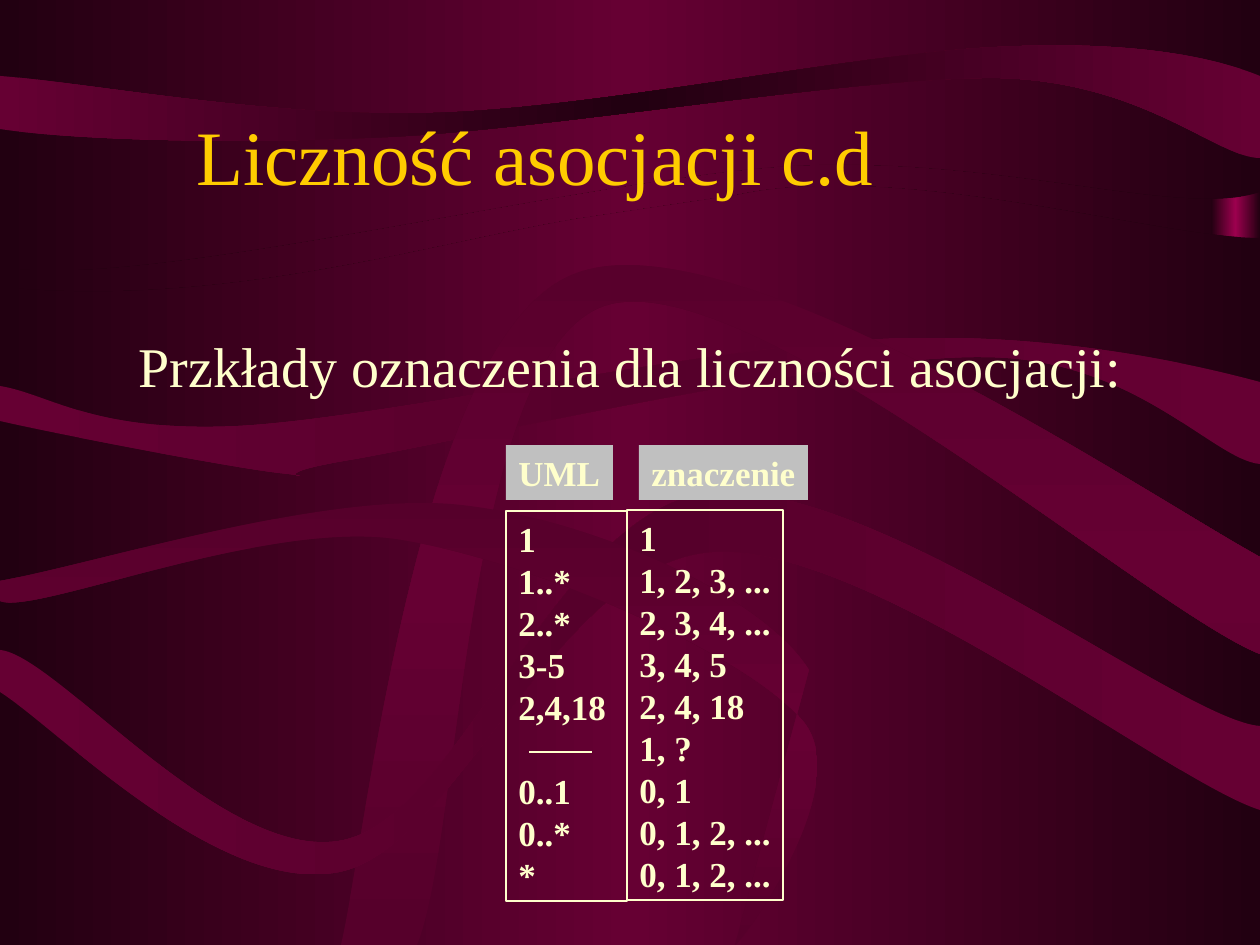
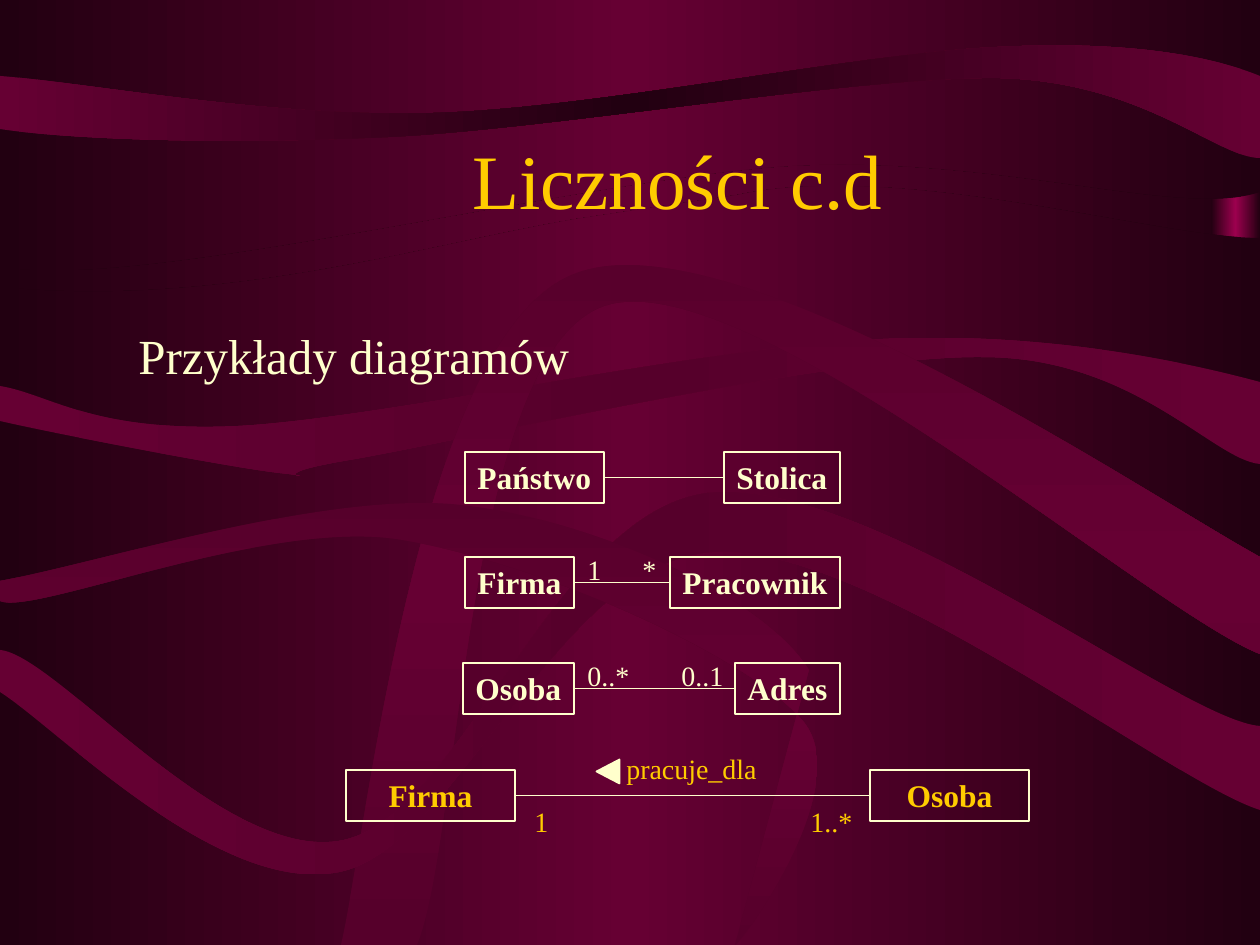
from copy import deepcopy

from lxml.etree import SubElement
from pptx import Presentation
from pptx.dml.color import RGBColor
from pptx.enum.shapes import MSO_CONNECTOR, MSO_SHAPE
from pptx.enum.text import MSO_ANCHOR, MSO_AUTO_SIZE, PP_ALIGN
from pptx.oxml.ns import qn
from pptx.util import Emu, Pt

EMU_PER_PX = 914400 / 126
SLIDE_W, SLIDE_H = 1260, 945
FONT = "Times New Roman"
NIGHT = RGBColor(0x22, 0x00, 0x11)
WINE = RGBColor(0x66, 0x00, 0x33)
PLUM = RGBColor(0x56, 0x00, 0x2B)
MAGENTA = RGBColor(0x9C, 0x00, 0x4E)
GOLD = RGBColor(0xFF, 0xCC, 0x00)
CREAM = RGBColor(0xFF, 0xFF, 0xCC)
SILVER = RGBColor(0xC0, 0xC0, 0xC0)

UPPER_FIELD = [(0, 0), (1260, 0), (1260, 192), (1181, 219, 998, 154, 788, 166),
               (577, 179, 131, 294, 0, 266)]
LOWER_FIELD = [(0, 287), (224, 309, 428, 244, 577, 219), (738, 195),
               (901, 160, 1155, 238, 1260, 238), (1260, 945), (0, 945)]
TOP_RIBBON = [(0, 76), (0, 129), (64, 139, 222, 145, 388, 137),
              (554, 129, 856, 76, 1000, 78), (1145, 82, 1217, 158, 1260, 158),
              (1260, 76), (1216, 58, 1135, 40, 998, 47),
              (859, 53, 601, 108, 435, 113), (268, 118, 91, 83, 0, 76)]
MIDDLE_RIBBON = [(0, 386), (0, 421), (47, 432, 221, 466, 280, 473),
                 (339, 479, 239, 478, 355, 459), (473, 438, 832, 355, 983, 357),
                 (1134, 357, 1213, 460, 1260, 464), (1260, 382),
                 (1197, 365, 1053, 331, 883, 339), (713, 345, 387, 418, 239, 426),
                 (92, 433, 50, 394, 0, 386)]
ARCH = [(341, 945), (367, 833, 418, 339, 572, 275), (725, 209, 1145, 494, 1260, 557),
        (1260, 654), (1150, 611, 745, 258, 604, 306), (464, 355, 461, 839, 417, 945)]
LOWER_RIBBON = [(0, 650), (0, 692), (57, 728, 219, 896, 339, 872),
                (457, 849, 558, 562, 712, 552), (866, 541, 1168, 781, 1260, 810),
                (1260, 726), (1182, 721, 871, 475, 708, 493),
                (556, 512, 462, 814, 344, 840), (226, 866, 57, 655, 0, 650)]
LOOP = [(0, 581), (0, 601), (33, 616, 262, 520, 396, 539),
        (529, 559, 746, 653, 803, 721), (859, 788, 733, 954, 735, 945),
        (809, 670), (764, 597, 596, 520, 461, 505), (326, 490, 96, 564, 0, 581)]
BACKDROP = [(UPPER_FIELD, NIGHT, WINE, 0), (LOWER_FIELD, NIGHT, WINE, 0),
            (TOP_RIBBON, WINE, NIGHT, 0), (MIDDLE_RIBBON, WINE, PLUM, 0),
            (ARCH, PLUM, WINE, 90), (LOWER_RIBBON, WINE, PLUM, 0),
            (LOOP, PLUM, WINE, 90)]

UML_CODES = ["1", "1..*", "2..*", "3-5", "2,4,18", "0..1", "0..*", "*"]
UNMARKED_ROW = 5
MEANINGS = ["1", "1, 2, 3, ...", "2, 3, 4, ...", "3, 4, 5", "2, 4, 18", "1, ?",
            "0, 1", "0, 1, 2, ...", "0, 1, 2, ..."]


def px(length):
    """Turn pixels into EMU."""
    return Emu(round(length * EMU_PER_PX))


def px_box(box):
    """Turn a pixel box into EMU lengths."""
    return [px(length) for length in box]


def fill_gradient(owner, fill, edge, middle, angle):
    """Fill with a gradient that runs from edge to middle and back."""
    fill.gradient()
    fill.gradient_angle = angle
    stop_list = next(owner.element.iter(qn("a:gsLst")))
    stop_list.insert(1, deepcopy(stop_list[0]))
    for stop, position, color in zip(fill.gradient_stops, (0, 0.5, 1), (edge, middle, edge)):
        stop.position = position
        stop.color.rgb = color


def add_curved_outline(slide, outline):
    """Add a closed freeform whose six-number segments are cubic curves."""
    points = [(px(segment[i]), px(segment[i + 1]))
              for segment in outline for i in range(0, len(segment), 2)]
    builder = slide.shapes.build_freeform(*points[0])
    builder.add_line_segments(points[1:], close=True)
    freeform = builder.convert_to_shape()
    steps = iter(list(freeform.element.iter(qn("a:lnTo"))))
    for segment in outline[1:]:
        step = next(steps)
        if len(segment) == 6:
            step.tag = qn("a:cubicBezTo")
            for _ in range(2):
                extra = next(steps)
                step.append(extra[0])
                extra.getparent().remove(extra)
    return freeform


def draw_backdrop(slide):
    """Paint the background gradient, the glint and the ribbons."""
    fill_gradient(slide.background, slide.background.fill, NIGHT, WINE, 0)
    glint = slide.shapes.add_shape(MSO_SHAPE.RECTANGLE, *px_box((1211, 62, 49, 435)))
    glint.shadow.inherit = False
    glint.line.fill.background()
    fill_gradient(glint, glint.fill, NIGHT, MAGENTA, 0)
    for outline, edge, middle, angle in BACKDROP:
        ribbon = add_curved_outline(slide, outline)
        ribbon.shadow.inherit = False
        ribbon.line.fill.background()
        fill_gradient(ribbon, ribbon.fill, edge, middle, angle)


def write(shape, lines, size, color, bold=False, align=PP_ALIGN.LEFT,
          anchor=MSO_ANCHOR.TOP, leading=1.2):
    """Write one paragraph per line into a shape."""
    frame = shape.text_frame
    frame.word_wrap = True
    frame.auto_size = MSO_AUTO_SIZE.NONE
    frame.vertical_anchor = anchor
    if align == PP_ALIGN.LEFT:
        frame.margin_right = 0
    frame.text = "\n".join(lines)
    for paragraph in frame.paragraphs:
        paragraph.alignment = align
        paragraph.line_spacing = Pt(round(size * leading, 1))
        font = paragraph.font
        font.name, font.size, font.bold = FONT, Pt(size), bold
        font.color.rgb = color


def add_label(slide, box, text, size, color, **style):
    """Add free text in a box."""
    write(slide.shapes.add_textbox(*px_box(box)), [text], size, color, **style)


def add_panel(slide, box, lines, size, color=CREAM, fill=None, **style):
    """Add a bold text panel, either filled or outlined."""
    panel = slide.shapes.add_shape(MSO_SHAPE.RECTANGLE, *px_box(box))
    panel.shadow.inherit = False
    if fill is None:
        panel.fill.background()
        panel.line.color.rgb = CREAM
        panel.line.width = Pt(1)
    else:
        panel.fill.solid()
        panel.fill.fore_color.rgb = fill
        panel.line.fill.background()
    write(panel, lines, size, color, bold=True, **style)
    return panel


def add_line(slide, start, end, width=1):
    """Add a straight cream line."""
    line = slide.shapes.add_connector(MSO_CONNECTOR.STRAIGHT, *px_box(start + end))
    line.line.color.rgb = CREAM
    line.line.width = Pt(width)
    SubElement(line.element.spPr, qn("a:effectLst"))
    return line


def add_heading(slide, title_box, title, anchor, lead, lead_size, leading=1.2):
    """Add the slide title and the sentence that opens the body."""
    add_label(slide, title_box, title, 44, GOLD, align=PP_ALIGN.CENTER, anchor=anchor)
    add_label(slide, (126, 325, 1103, 514), lead, lead_size, CREAM, leading=leading)


def add_multiplicity_list(slide, left, top):
    """Add the two columns of UML codes and their meanings."""
    add_panel(slide, (left + 121, top + 65, 156, 390), MEANINGS, 20)
    codes = add_panel(slide, (left, top + 66, 121, 390), UML_CODES, 20)
    codes.text_frame.paragraphs[UNMARKED_ROW].space_before = Pt(24)
    add_line(slide, (left + 23, top + 307), (left + 86, top + 307), 1.5)
    add_panel(slide, (left, top, 107, 55), ["UML"], 20, fill=SILVER)
    add_panel(slide, (left + 133, top, 169, 55), ["znaczenie"], 20, fill=SILVER)


def add_association(slide, top, left_class, right_class, counts=(), color=CREAM,
                    count_offset=-11, count_gap=1, align=PP_ALIGN.LEFT):
    """Join two classes, each a name, left and width, and label the ends."""
    panels = [add_panel(slide, (left, top, width, 51), [name], 18, color, align=align)
              for name, left, width in (left_class, right_class)]
    line = add_line(slide, (0, top), (0, top))
    line.begin_connect(panels[0], 3)
    line.end_connect(panels[1], 1)
    for end, count in enumerate(counts):
        width = 39 if len(count) == 1 else 65
        left = (right_class[1] - count_gap - width if end
                else left_class[1] + left_class[2] + count_gap)
        add_label(slide, (left, top + count_offset, width, 47), count, 16, color)


def add_association_name(slide, left, top, name):
    """Add an association name behind its reading-direction triangle."""
    add_label(slide, (left + 18, top, 155, 47), name, 16, GOLD)
    triangle = slide.shapes.add_shape(MSO_SHAPE.FLOWCHART_EXTRACT,
                                      *px_box((left, top + 15, 24, 23)))
    triangle.rotation = 270
    triangle.shadow.inherit = False
    triangle.fill.solid()
    triangle.fill.fore_color.rgb = CREAM
    triangle.line.color.rgb = CREAM
    triangle.line.width = Pt(1)


def build_notation_slide(slide):
    """Build the slide on multiplicity notation."""
    draw_backdrop(slide)
    add_heading(slide, (0, 76, 1071, 157), "Liczność asocjacji c.d", MSO_ANCHOR.MIDDLE,
                "Przkłady oznaczenia dla liczności asocjacji:", 32)
    add_multiplicity_list(slide, 506, 445)


def build_diagram_slide(slide):
    """Build the slide of example diagrams."""
    draw_backdrop(slide)
    add_heading(slide, (126, 74, 1103, 157), "Liczności c.d", MSO_ANCHOR.BOTTOM,
                "Przykłady diagramów", 28, leading=1.09)
    add_association(slide, 452, ("Państwo", 465, 139), ("Stolica", 724, 116))
    add_association(slide, 557, ("Firma", 465, 109), ("Pracownik", 670, 170), ("1", "*"))
    add_association(slide, 663, ("Osoba", 463, 111), ("Adres", 735, 105), ("0..*", "0..1"))
    add_association(slide, 770, ("Firma", 346, 169), ("Osoba", 870, 159), ("1", "1..*"),
                    GOLD, 28, 7, PP_ALIGN.CENTER)
    add_association_name(slide, 596, 745, "pracuje_dla")


def main():
    """Build and save the presentation."""
    deck = Presentation()
    deck.slide_width, deck.slide_height = px(SLIDE_W), px(SLIDE_H)
    blank = deck.slide_layouts[6]
    for build in (build_notation_slide, build_diagram_slide):
        build(deck.slides.add_slide(blank))
    deck.save("out.pptx")


if __name__ == "__main__":
    main()
